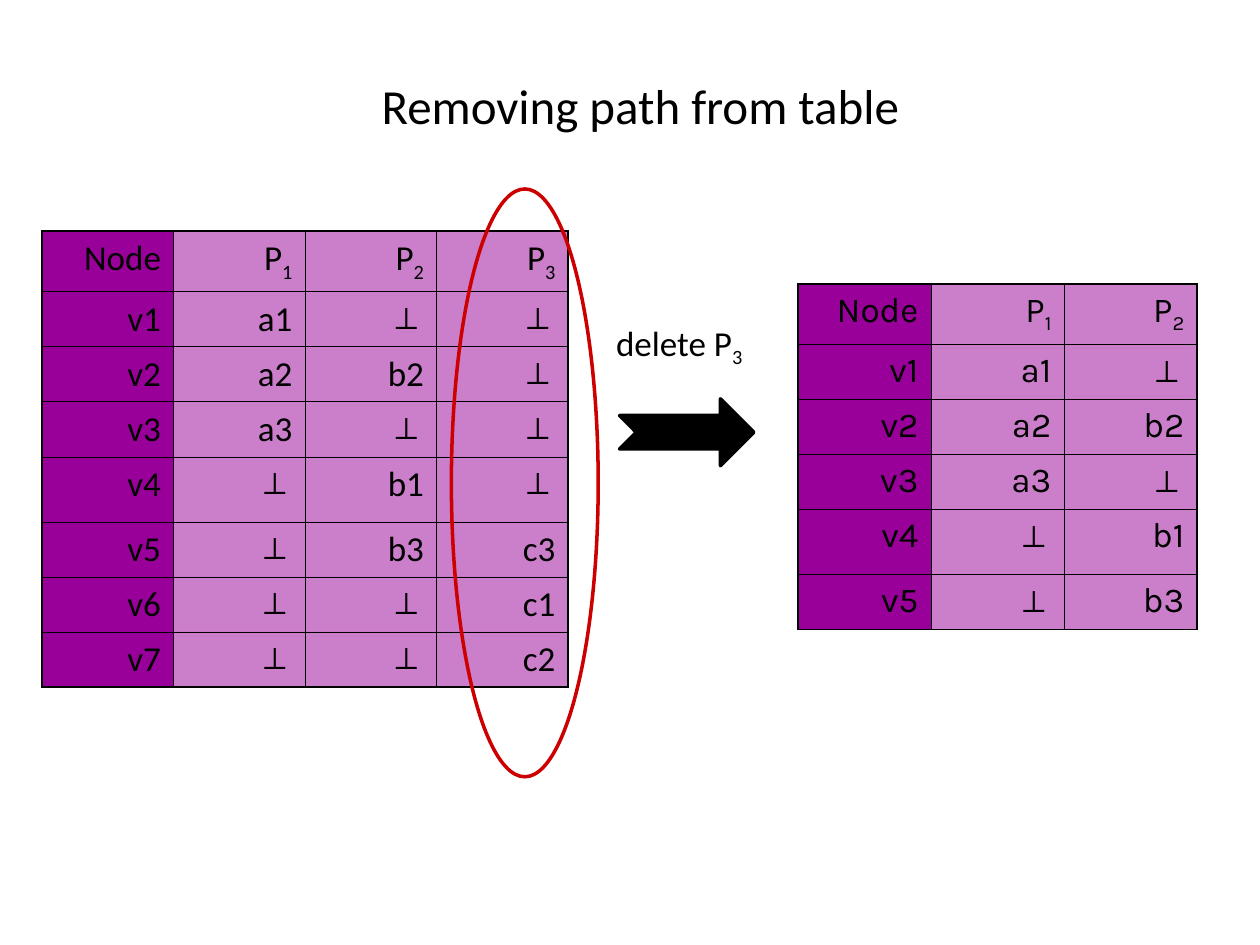
"""Builds a slide showing path P3 being removed from a node table."""
from dataclasses import dataclass

from lxml import etree
from pptx import Presentation
from pptx import util as u
from pptx.dml.color import RGBColor
from pptx.enum import shapes, text
from pptx.oxml.ns import qn

BLACK, PURPLE, RED = "000000", "990099", "CC0000"
BOTTOM = "⊥"
THIN, THICK = 0.45, 1.08


@dataclass
class PathTable:
    left: float
    top: float
    column_width: float
    font: str
    rows: list[str]


LEFT_TABLE = PathTable(0.85, 4.66, 2.65, "Calibri", [
    "Node P_1 P_2 P_3",
    "v1 a1 ⊥ ⊥",
    "v2 a2 b2 ⊥",
    "v3 a3 ⊥ ⊥",
    "v4 ⊥ b1 ⊥",
    "v5 ⊥ b3 c3",
    "v6 ⊥ ⊥ c1",
    "v7 ⊥ ⊥ c2",
])
RIGHT_TABLE = PathTable(16.09, 5.72, 2.68, "Karla", [
    "Node P_1 P_2",
    "v1 a1 ⊥",
    "v2 a2 b2",
    "v3 a3 ⊥",
    "v4 ⊥ b1",
    "v5 ⊥ b3",
])
HEADER_HEIGHT, ROW_HEIGHT, TALL_HEIGHT = 1.22, 1.11, 1.31
TALL_ROW = 4


def color(value: str) -> RGBColor:
    """Turn a hex string into a colour."""
    return RGBColor.from_string(value)


def write(para, words: str, font: str, size: float) -> None:
    """Write words in a paragraph, lowering the part after an underscore."""
    for index, part in enumerate(words.split("_")):
        span = para.add_run()
        span.text = part
        span.font.name = font
        span.font.size = u.Pt(size)
        span.font.color.rgb = color(BLACK)
        if index:
            span._r.get_or_add_rPr().set("baseline", "-25000")


def add_borders(cell, widths: dict[str, float]) -> None:
    """Draw the four black borders of a cell."""
    properties = cell._tc.get_or_add_tcPr()
    for side, width in widths.items():
        line = etree.SubElement(properties, qn(f"a:ln{side}"), w=str(u.Pt(width)))
        fill = etree.SubElement(line, qn("a:solidFill"))
        etree.SubElement(fill, qn("a:srgbClr"), val=BLACK)


def fill_cell(cell, opaque: bool) -> None:
    """Fill a cell with purple, solid or half transparent."""
    cell.fill.solid()
    cell.fill.fore_color.rgb = color(PURPLE)
    if not opaque:
        tone = cell._tc.tcPr.find(qn("a:solidFill")).find(qn("a:srgbClr"))
        etree.SubElement(tone, qn("a:alpha"), val="50000")


def add_path_table(page, data: PathTable) -> None:
    """Add a table of nodes and their path entries."""
    grid = [row.split() for row in data.rows]
    last_row, last_column = len(grid) - 1, len(grid[0]) - 1
    heights = [HEADER_HEIGHT] + [ROW_HEIGHT] * last_row
    heights[TALL_ROW] = TALL_HEIGHT
    table = page.shapes.add_table(
        len(grid), len(grid[0]), u.Cm(data.left), u.Cm(data.top),
        u.Cm(data.column_width * len(grid[0])), u.Cm(sum(heights))).table
    table.first_row = table.horz_banding = False
    for column in table.columns:
        column.width = u.Cm(data.column_width)
    for r, row in enumerate(grid):
        table.rows[r].height = u.Cm(heights[r])
        for c, words in enumerate(row):
            cell = table.cell(r, c)
            para = cell.text_frame.paragraphs[0]
            para.alignment = text.PP_ALIGN.RIGHT
            write(para, words, "Arial" if words == BOTTOM else data.font, 20)
            add_borders(cell, {
                "L": THICK if c == 0 else THIN,
                "R": THICK if c == last_column else THIN,
                "T": THICK if r == 0 else THIN,
                "B": THICK if r == last_row else THIN,
            })
            fill_cell(cell, opaque=c == 0)


def add_title(page) -> None:
    """Add the centred slide title."""
    box = page.shapes.add_textbox(u.Cm(2.96), u.Cm(1.27), u.Cm(19.9), u.Cm(1.69))
    frame = box.text_frame
    frame.word_wrap = True
    frame.vertical_anchor = text.MSO_ANCHOR.MIDDLE
    frame.paragraphs[0].alignment = text.PP_ALIGN.CENTER
    write(frame.paragraphs[0], "Removing path from table", "Calibri", 28)


def add_label(page) -> None:
    """Add the label above the arrow."""
    box = page.shapes.add_textbox(u.Cm(12.17), u.Cm(6.35), u.Cm(3.07), u.Cm(1.22))
    box.text_frame.word_wrap = False
    box.text_frame.auto_size = text.MSO_AUTO_SIZE.SHAPE_TO_FIT_TEXT
    write(box.text_frame.paragraphs[0], "delete P_3", "Calibri", 20)


def outline(shape, value: str) -> None:
    """Give a shape a two-point line and no shadow."""
    shape.shadow.inherit = False
    shape.line.color.rgb = color(value)
    shape.line.width = u.Pt(2)


def add_arrow(page) -> None:
    """Add the notched arrow between the tables."""
    left, top, width, height = 12.49, 8.04, 2.71, 1.35
    neck, notch = left + width - height / 2, left + height / 4
    upper, middle, lower = (top + height * part for part in (0.25, 0.5, 0.75))
    points = [(left, upper), (neck, upper), (neck, top), (left + width, middle),
              (neck, top + height), (neck, lower), (left, lower), (notch, middle)]
    corners = [(u.Cm(x), u.Cm(y)) for x, y in points]
    builder = page.shapes.build_freeform(*corners[0])
    builder.add_line_segments(corners[1:], close=True)
    arrow = builder.convert_to_shape()
    arrow.fill.solid()
    arrow.fill.fore_color.rgb = color(BLACK)
    outline(arrow, BLACK)


def add_highlight(page) -> None:
    """Circle the column that is removed."""
    ring = page.shapes.add_shape(shapes.MSO_SHAPE.OVAL, u.Cm(9.1), u.Cm(3.81),
                                 u.Cm(2.96), u.Cm(11.85))
    ring.fill.background()
    outline(ring, RED)


def main() -> None:
    """Build and save the deck."""
    deck = Presentation()
    deck.slide_width, deck.slide_height = u.Cm(25.4), u.Cm(19.05)
    page = deck.slides.add_slide(deck.slide_layouts[6])
    add_title(page)
    add_path_table(page, RIGHT_TABLE)
    add_label(page)
    add_path_table(page, LEFT_TABLE)
    add_arrow(page)
    add_highlight(page)
    deck.save("out.pptx")


if __name__ == "__main__":
    main()
